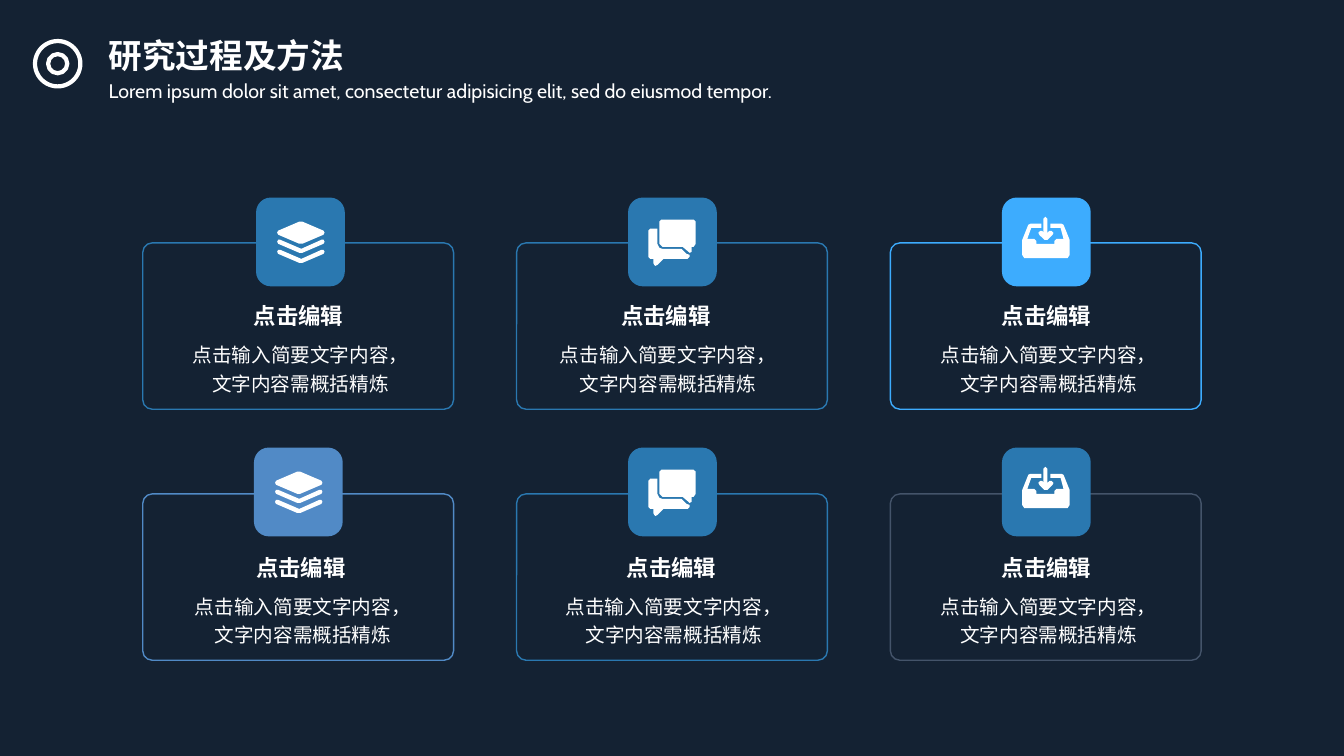
"""Build a dark slide with six icon cards under a heading."""
from pptx import Presentation
from pptx.dml.color import RGBColor
from pptx.enum.shapes import MSO_SHAPE as Preset
from pptx.enum.text import MSO_AUTO_SIZE as AutoSize, PP_ALIGN as Align
from pptx.util import Pt

COLORS = {
    "night": "142233",
    "white": "FFFFFF",
    "blue": "2A78B0",
    "sky": "3DACFE",
    "steel": "518AC6",
    "slate": "44546A",
}
FONT = "Cabin"
ICON_UNIT = 0.72

CHEVRON = [(3, 18), (24, 27), (44, 18), (46, 18), (47, 20), (46, 22),
           (25, 31), (22, 31), (1, 22), (0, 20), (1, 18)]
LAYERS = [
    [(1, 9), (22, 0), (25, 0), (46, 9), (47, 11), (46, 13),
     (25, 22), (22, 22), (1, 13), (0, 11)],
    CHEVRON,
    [(x, y + 10) for x, y in CHEVRON],
]
CHAT = [
    [(13, 0), (45, 0), (47, 2), (47, 24), (45, 27), (43, 27), (43, 32),
     (41, 33), (40, 32), (34, 27), (14, 27), (11, 24), (11, 2)],
    [(2, 9), (9, 9), (9, 24), (11, 28), (14, 29), (33, 29), (38, 34),
     (41, 35), (41, 37), (39, 39), (15, 39), (9, 45), (7, 46), (6, 45),
     (5, 43), (5, 39), (2, 39), (0, 37), (0, 11)],
]
INBOX = [
    [(2, 41), (0, 38), (0, 23), (6, 8), (8, 7), (19, 7), (19, 11), (9, 11),
     (5, 22), (12, 22), (14, 24), (14, 27), (32, 27), (32, 24), (34, 22),
     (41, 22), (38, 11), (28, 11), (28, 7), (39, 7), (41, 8), (47, 23),
     (47, 38), (45, 41)],
    [(31, 16), (30, 18), (25, 23), (22, 23), (17, 18), (16, 16), (18, 14),
     (20, 14), (21, 16), (21, 2), (23, 0), (25, 2), (25, 16), (27, 14),
     (29, 14)],
]
ICONS = [(LAYERS, 15.1, 17.2), (CHAT, 14.5, 15.8), (INBOX, 14.5, 13.7)]

ROWS = [
    (173.5, 141.1, 208.8, 238.3, [
        ("blue", "blue", 182.9, 174.2),
        ("blue", "blue", 448.6, 436.6),
        ("sky", "sky", 715.7, 708.5),
    ]),
    (352.8, 319.7, 388.6, 417.8, [
        ("steel", "steel", 181.4, 175.9),
        ("blue", "blue", 448.6, 440.8),
        ("slate", "blue", 715.7, 708.5),
    ]),
]


def rgb(name):
    return RGBColor.from_string(COLORS[name])


class SlideBuilder:
    def __init__(self, slide):
        self.slide = slide
        background = slide.background.fill
        background.solid()
        background.fore_color.rgb = rgb("night")

    def paint(self, shape, fill=None, line=None, weight=1):
        shape.shadow.inherit = False
        if fill:
            shape.fill.solid()
            shape.fill.fore_color.rgb = rgb(fill)
        else:
            shape.fill.background()
        if line:
            shape.line.color.rgb = rgb(line)
            shape.line.width = Pt(weight)
        else:
            shape.line.fill.background()

    def shape(self, preset, left, top, width, height, corner=None, **style):
        shape = self.slide.shapes.add_shape(
            preset, Pt(left), Pt(top), Pt(width), Pt(height))
        if corner is not None:
            shape.adjustments[0] = corner
        self.paint(shape, **style)

    def icon(self, outlines, left, top):
        builder = self.slide.shapes.build_freeform(
            *outlines[0][0], scale=Pt(ICON_UNIT))
        for index, outline in enumerate(outlines):
            if index:
                builder.move_to(*outline[0])
            builder.add_line_segments(outline[1:], close=True)
        self.paint(builder.convert_to_shape(Pt(left), Pt(top)), fill="white")

    def text(self, words, left, top, width, height, size,
             bold=False, align=Align.LEFT):
        box = self.slide.shapes.add_textbox(
            Pt(left), Pt(top), Pt(width), Pt(height))
        frame = box.text_frame
        frame.word_wrap = True
        frame.auto_size = AutoSize.SHAPE_TO_FIT_TEXT
        paragraph = frame.paragraphs[0]
        paragraph.text = words
        paragraph.alignment = align
        paragraph.line_spacing = 1.2
        font = paragraph.font
        font.name = FONT
        font.size = Pt(size)
        font.bold = bold
        font.color.rgb = rgb("white")

    def ring(self, center_x, center_y, diameter):
        self.shape(Preset.OVAL, center_x - diameter / 2,
                   center_y - diameter / 2, diameter, diameter,
                   line="white", weight=3)


def main():
    presentation = Presentation()
    presentation.slide_width = Pt(960)
    presentation.slide_height = Pt(540)
    builder = SlideBuilder(
        presentation.slides.add_slide(presentation.slide_layouts[6]))

    for card_top, badge_top, title_top, body_top, cards in ROWS:
        for column, card in enumerate(cards):
            border, badge, badge_left, title_left = card
            outlines, icon_x, icon_y = ICONS[column]
            builder.shape(Preset.ROUNDED_RECTANGLE, 102 + 267 * column,
                          card_top, 222, 118.8, corner=0.057, line=border)
            builder.shape(Preset.ROUNDED_RECTANGLE, badge_left, badge_top,
                          63.4, 63.4, fill=badge)
            builder.icon(outlines, badge_left + icon_x, badge_top + icon_y)
            builder.text("点击编辑", title_left, title_top, 81.4, 30, 16,
                         bold=True)
            builder.text("点击输入简要文字内容，文字内容需概括精炼",
                         title_left - 50.2, body_top, 181.4, 48.2, 14,
                         align=Align.CENTER)

    builder.text("Lorem ipsum dolor sit amet, consectetur adipisicing elit, "
                 "sed do eiusmod tempor.", 70.6, 49.7, 565, 26, 14)
    builder.text("研究过程及方法", 70.6, 15.8, 208.8, 38.9, 24, bold=True)
    for diameter in (32.4, 13.7):
        builder.ring(41.2, 45.5, diameter)

    presentation.save("out.pptx")


if __name__ == "__main__":
    main()
